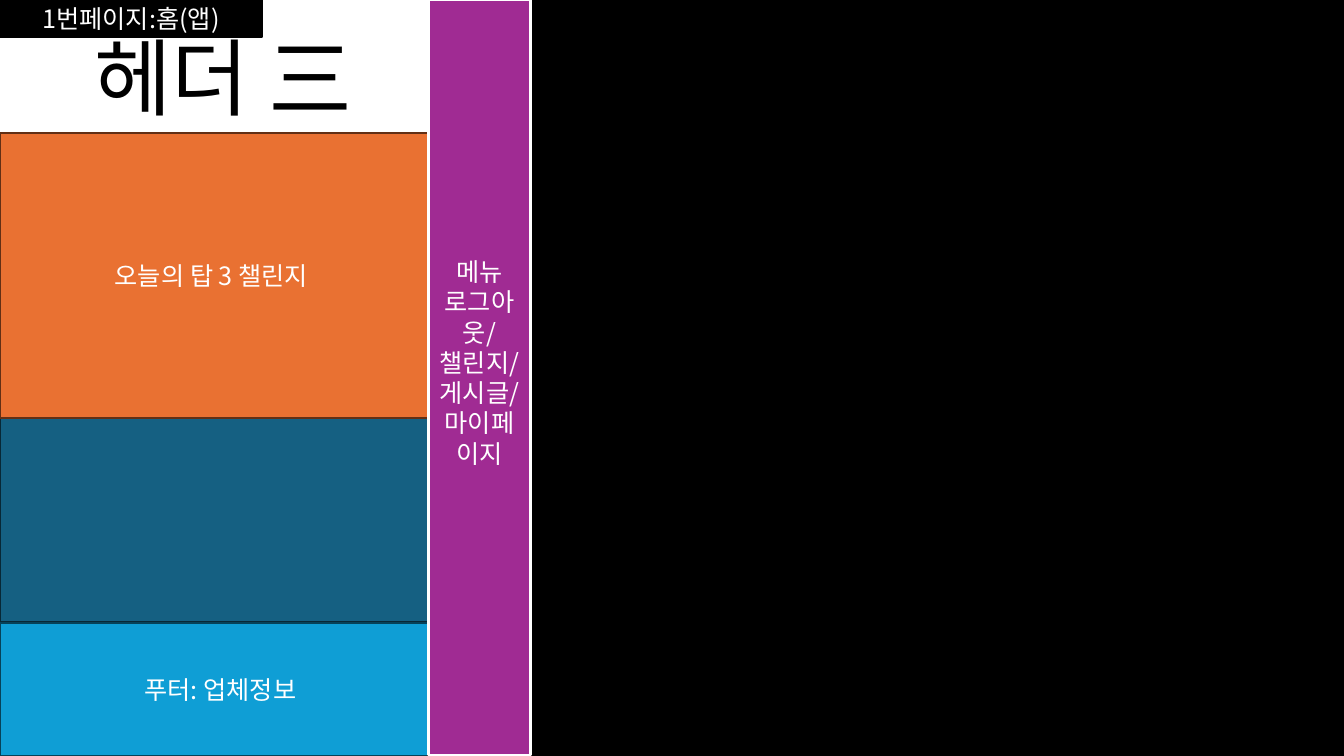
from lxml import etree
from pptx import Presentation
from pptx.dml.color import RGBColor
from pptx.enum.shapes import MSO_SHAPE
from pptx.enum.text import MSO_ANCHOR, MSO_AUTO_SIZE, PP_ALIGN
from pptx.oxml.ns import qn
from pptx.util import Inches, Pt

FONT = "Noto Sans CJK KR"
COLORS = {
    "black": "000000", "white": "FFFFFF", "purple": "A02B93",
    "teal": "156082", "teal_edge": "082836",
    "orange": "E97132", "orange_edge": "622F15",
    "blue": "0F9ED5", "blue_edge": "064259",
}


def rgb(name):
    return RGBColor.from_string(COLORS[name])


def write_lines(tf, lines, size, color, anchor):
    tf.word_wrap = True
    tf.auto_size = MSO_AUTO_SIZE.NONE
    tf.vertical_anchor = anchor
    for i, line in enumerate(lines):
        p = tf.paragraphs[0] if i == 0 else tf.add_paragraph()
        p.alignment = PP_ALIGN.CENTER
        r = p.add_run()
        r.text = line
        for key, value in {"name": FONT, "size": Pt(size), "bold": False}.items():
            setattr(r.font, key, value)
        r.font.color.rgb = rgb(color)
        ea = etree.SubElement(r.font._element, qn("a:ea"))
        ea.set("typeface", FONT)


prs = Presentation()
prs.slide_width, prs.slide_height = Inches(13.33), Inches(7.5)
s = prs.slides.add_slide(prs.slide_layouts[0])

# Header title
subtitle = s.placeholders[1]._element
subtitle.getparent().remove(subtitle)
title = s.shapes.title
title.left, title.top = Inches(0), Inches(0)
title.width, title.height = Inches(4.43), Inches(1.32)
write_lines(title.text_frame, ["헤더 三"], 60, "black", MSO_ANCHOR.BOTTOM)
title.text_frame.paragraphs[0].line_spacing = 0.9

# Page blocks, back to front: box, fill, line, line width, text, bottom inset
menu = ["메뉴", "로그아웃/", "챌린지/", "게시글/", "마이페이지"]
blocks = [
    ((0, 1.32, 11.46, 4.85), "teal", "teal_edge", 1.5, [], 0.05),
    ((0, 1.32, 4.25, 2.83), "orange", "orange_edge", 1.5, ["오늘의 탑 3 챌린지 "], 0.05),
    ((0, 6.18, 4.43, 1.32), "blue", "blue_edge", 1.5, ["푸터: 업체정보 "], 0.05),
    ((0, 0, 2.6, 0.37), "black", "black", 1.5, ["1번페이지:홈(앱)"], 0.05),
    ((4.25, 0, 9.08, 7.5), "black", "black", 1.5, [], 0.05),
    ((4.25, 0, 1.01, 7.49), "purple", "white", 2, menu, 0.35),
]
for box, fill, edge, width, lines, bottom in blocks:
    sp = s.shapes.add_shape(MSO_SHAPE.RECTANGLE, *[Inches(v) for v in box])
    sp.shadow.inherit = False
    sp.fill.solid()
    sp.fill.fore_color.rgb = rgb(fill)
    sp.line.color.rgb = rgb(edge)
    sp.line.width = Pt(width)
    sp.text_frame.margin_bottom = Inches(bottom)
    write_lines(sp.text_frame, lines, 18, "white", MSO_ANCHOR.MIDDLE)

prs.save("out.pptx")
